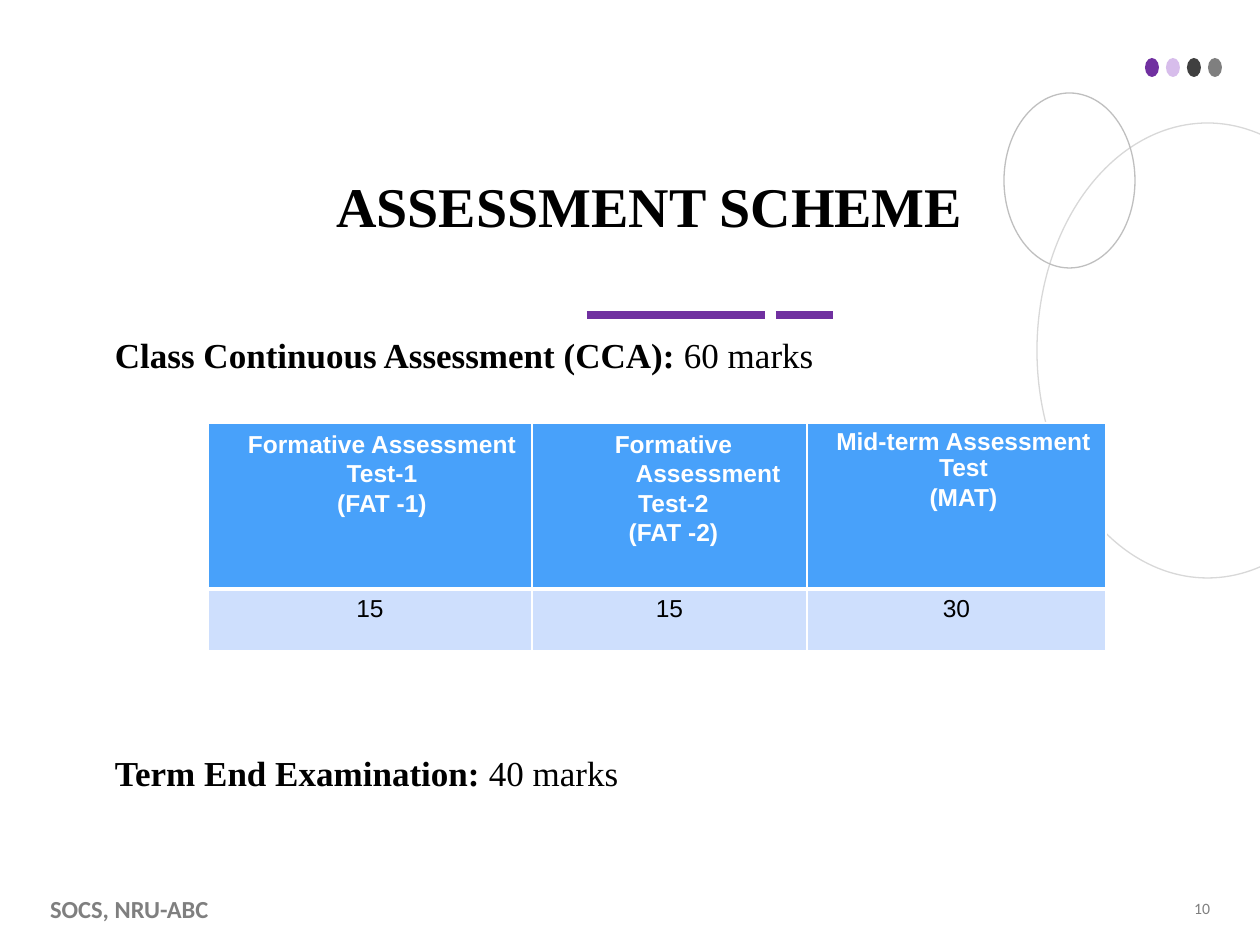
from dataclasses import dataclass
from lxml.etree import SubElement
from pptx import Presentation
from pptx.dml.color import RGBColor
from pptx.enum.shapes import MSO_CONNECTOR, MSO_SHAPE
from pptx.enum.text import MSO_ANCHOR, PP_ALIGN
from pptx.oxml import parse_xml
from pptx.oxml.ns import nsdecls, qn
from pptx.util import Pt


@dataclass(frozen=True)
class Theme:
    accent: str = "7030A0"
    lilac: str = "C7A2E3"
    dark: str = "404040"
    gray: str = "7F7F7F"
    pale: str = "D8D8D8"
    ring: str = "BFBFBF"
    head: str = "48A1FA"
    band: str = "CEDFFD"
    black: str = "000000"
    white: str = "FFFFFF"
    serif: str = "Times New Roman"
    sans: str = "Arial"
    foot: str = "Calibri"
    title: int = 32
    body: int = 20
    cell: int = 14
    small: int = 9


T = Theme()
LEFT, MID, RIGHT = PP_ALIGN.LEFT, PP_ALIGN.CENTER, PP_ALIGN.RIGHT

TITLE = "ASSESSMENT SCHEME"
MARKS = [
    [("Class Continuous Assessment (CCA): ", True), ("60 marks", False)],
    [("Term End Examination: ", True), ("40 marks", False)],
]
TESTS = [
    dict(lines=["Formative Assessment Test-1", "(FAT -1)"],
         marks="15", width=324, margin=24, indent=0, lead=1.07),
    dict(lines=["Formative Assessment", "Test-2", "(FAT -2)"],
         marks="15", width=275, margin=77, indent=-69, lead=1.07),
    dict(lines=["Mid-term Assessment Test", "(MAT)"],
         marks="30", width=299, margin=14, indent=0, lead=0.96),
]
ROWS = [166, 62]
DOTS = [(T.accent, 100), (T.lilac, 70), (T.dark, 100), (T.gray, 100)]
RINGS = [((1037, 123, 341, 455), T.pale), ((1004, 93, 131, 175), T.ring)]
RULES = [(587, 765), (776, 833)]
FOOT = "SOCS, NRU-ABC"
PAGE = "10"


def px(n):
    return round(n * 914400 / 126)


def rgb(code):
    return RGBColor.from_string(code)


def write(frame, paras, font=T.serif, size=T.body, color=T.black, bold=False,
          align=LEFT, lead=None, gap=0, margin=0, indent=0):
    frame.word_wrap = True
    for i, runs in enumerate(paras):
        para = frame.add_paragraph() if i else frame.paragraphs[0]
        para.alignment = align
        if lead:
            para.line_spacing = lead
        if i and gap:
            para.space_before = Pt(gap)
        if margin:
            props = para._p.get_or_add_pPr()
            props.set("marL", str(px(margin)))
            props.set("indent", str(px(indent)))
        for text, heavy in [(runs, bold)] if isinstance(runs, str) else runs:
            run = para.add_run()
            run.text = text
            run.font.name = font
            run.font.size = Pt(size)
            run.font.bold = heavy
            run.font.color.rgb = rgb(color)


def label(slide, box, paras, pad=(0, 0), anchor=MSO_ANCHOR.TOP, **style):
    frame = slide.shapes.add_textbox(*map(px, box)).text_frame
    frame.margin_left = frame.margin_right = px(pad[0])
    frame.margin_top = frame.margin_bottom = px(pad[1])
    frame.vertical_anchor = anchor
    write(frame, paras, **style)


def oval(slide, box, fill=None, line=None, alpha=100):
    shape = slide.shapes.add_shape(MSO_SHAPE.OVAL, *map(px, box))
    shape.shadow.inherit = False
    if fill:
        shape.fill.solid()
        shape.fill.fore_color.rgb = rgb(fill)
        if alpha < 100:
            tint = shape._element.spPr.find(".//" + qn("a:srgbClr"))
            SubElement(tint, qn("a:alpha"), val=str(alpha * 1000))
    else:
        shape.fill.background()
    if line:
        shape.line.color.rgb = rgb(line)
        shape.line.width = Pt(0.75)
    else:
        shape.line.fill.background()


def rule(slide, start, end, y):
    line = slide.shapes.add_connector(
        MSO_CONNECTOR.STRAIGHT, px(start), px(y), px(end), px(y))
    line.line.color.rgb = rgb(T.accent)
    line.line.width = Pt(4.5)
    SubElement(line._element.spPr, qn("a:effectLst"))


def paint(cell, fill, top, base):
    cell.fill.solid()
    cell.fill.fore_color.rgb = rgb(fill)
    props = cell._tc.get_or_add_tcPr()
    for i, (side, width) in enumerate(zip("LRTB", (1, 1, top, base))):
        props.insert(i, parse_xml(
            f'<a:ln{side} {nsdecls("a")} w="{Pt(width)}"><a:solidFill>'
            f'<a:srgbClr val="{T.white}"/></a:solidFill></a:ln{side}>'))


def grid(slide, left, top):
    wide = sum(test["width"] for test in TESTS)
    table = slide.shapes.add_table(
        len(ROWS), len(TESTS), *map(px, (left, top, wide, sum(ROWS)))).table
    table.horz_banding = False
    for row, high in zip(table.rows, ROWS):
        row.height = px(high)
    for i, test in enumerate(TESTS):
        table.columns[i].width = px(test["width"])
        head, mark = table.cell(0, i), table.cell(1, i)
        write(head.text_frame, test["lines"], font=T.sans, size=T.cell,
              color=T.white, bold=True, align=MID, lead=test["lead"],
              margin=test["margin"], indent=test["indent"])
        for para in head.text_frame.paragraphs[1:]:
            para.line_spacing = 1.07
        write(mark.text_frame, [test["marks"]], font=T.sans, size=T.cell,
              align=MID)
        paint(head, T.head, 1, 3)
        paint(mark, T.band, 3, 1)


def main():
    deck = Presentation()
    deck.slide_width, deck.slide_height = px(1260), px(945)
    slide = deck.slides.add_slide(deck.slide_layouts[6])
    for start, end in RULES:
        rule(slide, start, end, 315)
    for i, (color, alpha) in enumerate(DOTS):
        oval(slide, (1145 + 21 * i, 58, 14, 19), fill=color, alpha=alpha)
    for box, color in RINGS:
        oval(slide, box, line=color)
    label(slide, (126, 96, 1047, 144), [TITLE], anchor=MSO_ANCHOR.BOTTOM,
          size=T.title, bold=True, align=MID, lead=0.9)
    label(slide, (115, 333, 1047, 537), MARKS, gap=215)
    label(slide, (939, 891, 283, 34), [PAGE], pad=(12, 6),
          anchor=MSO_ANCHOR.MIDDLE, font=T.foot, size=T.small,
          color=T.gray, align=RIGHT)
    label(slide, (38, 891, 234, 34), [FOOT], pad=(12, 6), font=T.foot,
          size=T.cell, color=T.gray, bold=True, lead=0.9)
    grid(slide, 208, 423)
    deck.save("out.pptx")


if __name__ == "__main__":
    main()
